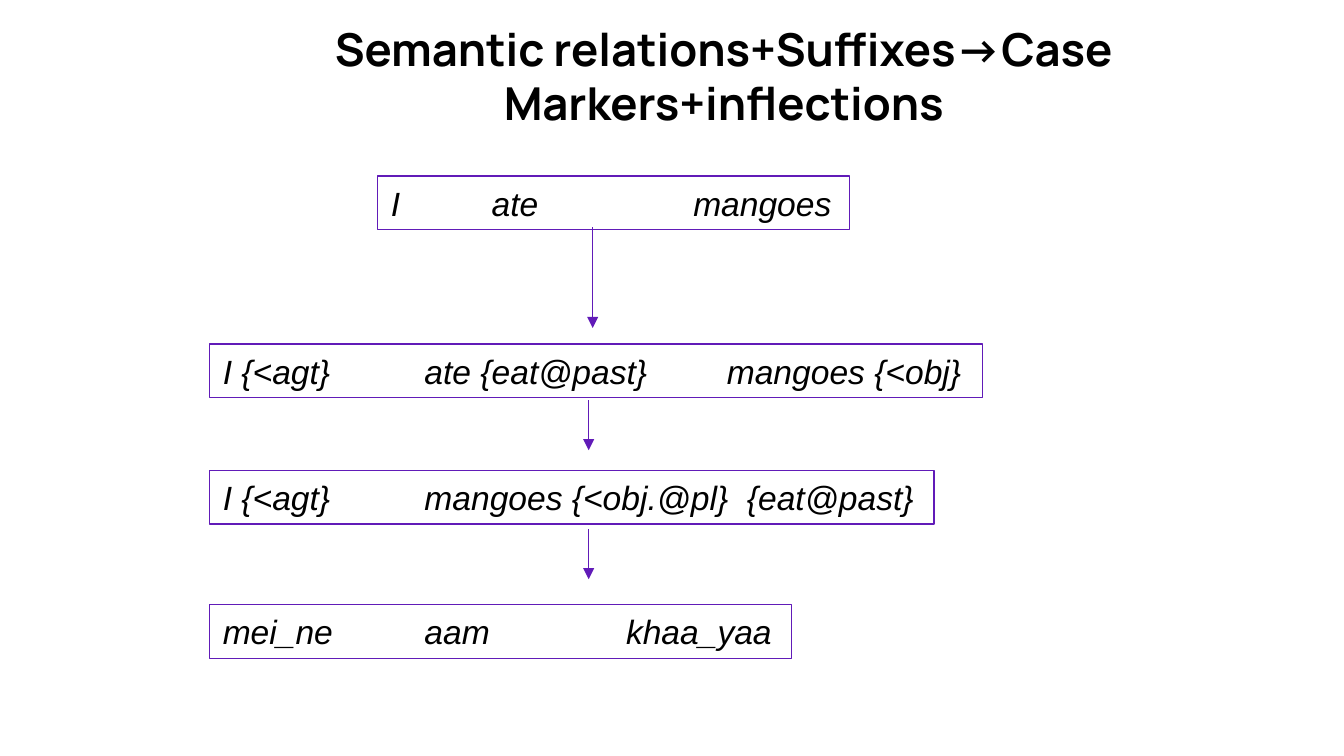
from dataclasses import dataclass

from lxml import etree
from pptx import Presentation
from pptx.dml.color import RGBColor
from pptx.enum.shapes import MSO_CONNECTOR, MSO_SHAPE
from pptx.enum.text import MSO_ANCHOR, MSO_AUTO_SIZE, PP_ALIGN
from pptx.oxml.ns import qn
from pptx.util import Inches, Pt

RECT = MSO_SHAPE.RECTANGLE
STRAIGHT = MSO_CONNECTOR.STRAIGHT
TOP, MIDDLE = MSO_ANCHOR.TOP, MSO_ANCHOR.MIDDLE
LEFT, CENTER = PP_ALIGN.LEFT, PP_ALIGN.CENTER
GROW, FIXED = MSO_AUTO_SIZE.SHAPE_TO_FIT_TEXT, MSO_AUTO_SIZE.NONE


@dataclass(frozen=True)
class Theme:
    ink = RGBColor(0, 0, 0)
    edge = RGBColor(0x61, 0x1B, 0xB8)
    head_font = "Manrope"
    body_font = "Arial"
    head_size = Pt(24.3)
    body_size = Pt(18)
    stroke = Pt(0.75)


THEME = Theme()
WIDE = 10
HIGH = WIDE * 9 / 16
BOX_HIGH = 0.4
TAB_STEP, TAB_COUNT = 0.75, 6

# left, top, width, words
STAGES = [
    (2.81, 1.31, 3.51, "I \tate \t\tmangoes"),
    (1.56, 2.56, 5.75, "I {<agt}\tate {eat@past} \tmangoes {<obj}"),
    (1.56, 3.5, 5.39, "I {<agt}\tmangoes {<obj.@pl}  {eat@past}"),
    (1.56, 4.5, 4.33, "mei_ne\taam \t\tkhaa_yaa"),
]
# x, top, length
ARROWS = [(4.41, 1.69, 0.75), (4.38, 2.98, 0.37), (4.38, 3.94, 0.37)]


def style(para, font, size, align):
    para.alignment = align
    for run in para.runs:
        run.font.name = font
        run.font.size = size
        run.font.color.rgb = THEME.ink


def add_title(slide, words):
    title = slide.shapes.title
    title.left, title.top = Inches(2.19), Inches(0.18)
    title.width, title.height = Inches(6.39), Inches(0.76)
    frame = title.text_frame
    frame.text = words
    frame.word_wrap = True
    frame.auto_size = FIXED
    frame.vertical_anchor = MIDDLE
    para = frame.paragraphs[0]
    style(para, THEME.head_font, THEME.head_size, CENTER)
    para.runs[0].font.bold = True


def set_tabs(para):
    """Put evenly spaced left tab stops on the paragraph."""
    tabs = etree.SubElement(para._p.get_or_add_pPr(), qn("a:tabLst"))
    for i in range(1, TAB_COUNT + 1):
        etree.SubElement(tabs, qn("a:tab"), pos=str(Inches(i * TAB_STEP)), algn="l")


def add_stage(slide, left, top, width, words):
    box = slide.shapes.add_shape(
        RECT, Inches(left), Inches(top), Inches(width), Inches(BOX_HIGH))
    box.shadow.inherit = False
    box.fill.background()
    box.line.color.rgb = THEME.edge
    box.line.width = THEME.stroke
    frame = box.text_frame
    frame.text = words
    frame.word_wrap = False
    frame.auto_size = GROW
    frame.vertical_anchor = TOP
    para = frame.paragraphs[0]
    set_tabs(para)
    style(para, THEME.body_font, THEME.body_size, LEFT)
    para.runs[0].font.italic = True


def add_arrow(slide, x, top, length):
    arrow = slide.shapes.add_connector(
        STRAIGHT, Inches(x), Inches(top), Inches(x), Inches(top + length))
    arrow.line.color.rgb = THEME.edge
    arrow.line.width = THEME.stroke
    etree.SubElement(arrow.line._get_or_add_ln(), qn("a:tailEnd"), type="triangle")
    etree.SubElement(arrow._element.spPr, qn("a:effectLst"))


def main():
    deck = Presentation()
    deck.slide_width, deck.slide_height = Inches(WIDE), Inches(HIGH)
    slide = deck.slides.add_slide(deck.slide_layouts[5])
    add_title(slide, "Semantic relations+Suffixes→Case Markers+inflections")
    for stage in STAGES:
        add_stage(slide, *stage)
    for arrow in ARROWS:
        add_arrow(slide, *arrow)
    deck.save("out.pptx")


if __name__ == "__main__":
    main()
